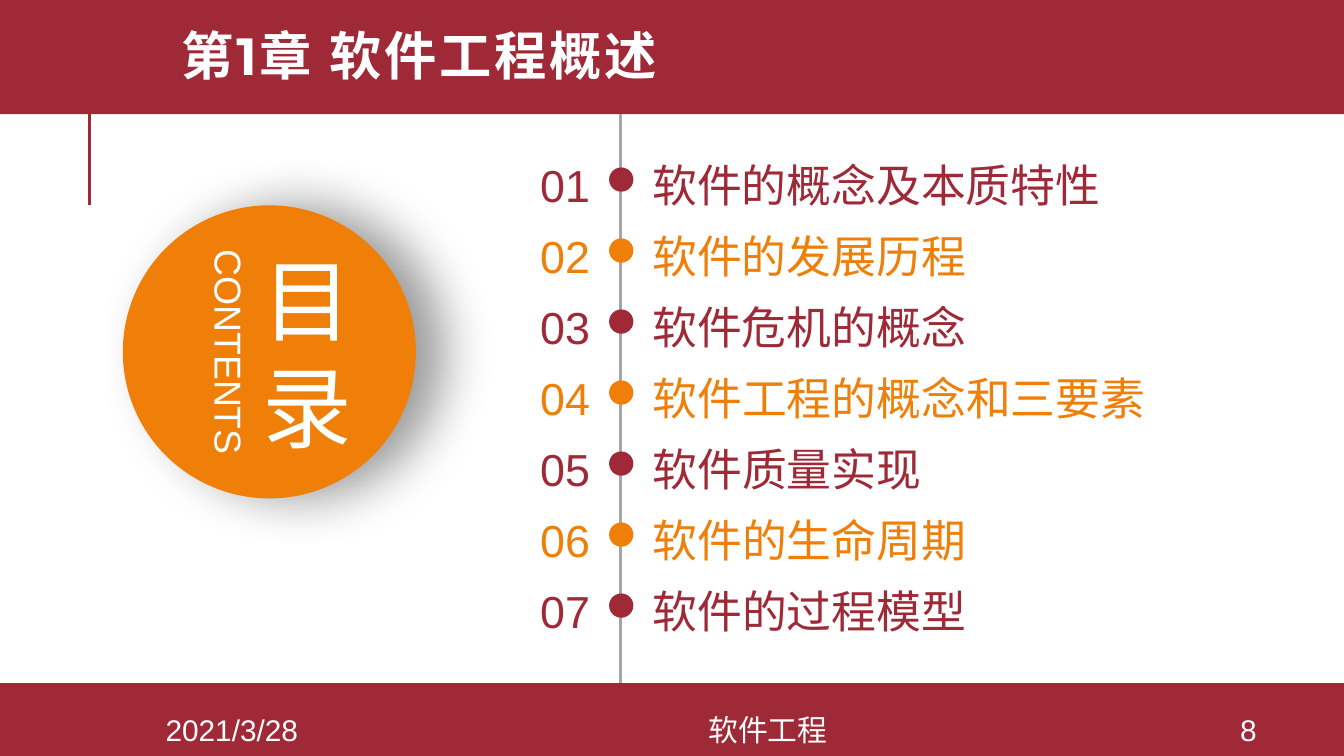
import dataclasses

import lxml.etree
import pptx
import pptx.dml.color
import pptx.enum.shapes
import pptx.enum.text
import pptx.oxml.ns
import pptx.util

Pt = pptx.util.Pt
Align = pptx.enum.text.PP_ALIGN
Anchor = pptx.enum.text.MSO_ANCHOR
Fit = pptx.enum.text.MSO_AUTO_SIZE
Kind = pptx.enum.shapes.MSO_SHAPE
qn = pptx.oxml.ns.qn

RED, ORANGE, GRAY, WHITE = "9F2936", "F07F09", "A6A6A6", "FFFFFF"
TOP, STEP, DOT = 84.3, 38.04, 13


@dataclasses.dataclass
class Box:
    x: float
    y: float
    w: float
    h: float

    def sizes(self) -> list:
        return [Pt(v) for v in (self.x, self.y, self.w, self.h)]


@dataclasses.dataclass
class Style:
    size: float
    color: str = WHITE
    align: Align = Align.CENTER
    anchor: Anchor = Anchor.MIDDLE
    inset: bool = True
    grow: bool = False
    face: str = "Arial"
    bold: bool = False
    track: float = 0
    lead: float = 1.0


@dataclasses.dataclass
class Item:
    text: str
    color: str
    width: float


def paint(target, color: str) -> None:
    target.rgb = pptx.dml.color.RGBColor.from_string(color)


def write(shape, lines: list, style: Style) -> None:
    frame = shape.text_frame
    form = {
        "word_wrap": True,
        "vertical_anchor": style.anchor,
        "auto_size": Fit.SHAPE_TO_FIT_TEXT if style.grow else Fit.NONE,
    }
    if not style.inset:
        sides = ("left", "top", "right", "bottom")
        form.update({f"margin_{side}": 0 for side in sides})
    for key, value in form.items():
        setattr(frame, key, value)
    for i, line in enumerate(lines):
        para = frame.paragraphs[0] if i == 0 else frame.add_paragraph()
        for key, value in {"alignment": style.align, "line_spacing": style.lead,
                           "space_before": Pt(0)}.items():
            setattr(para, key, value)
        run = para.add_run()
        run.text = line
        for key, value in {"size": Pt(style.size), "name": style.face,
                           "bold": style.bold}.items():
            setattr(run.font, key, value)
        paint(run.font.color, style.color)
        if style.track:
            run.font._element.set("spc", str(int(style.track * 100)))


def label(slide, box: Box, lines: list, style: Style, turn: float = 0) -> None:
    shape = slide.shapes.add_textbox(*box.sizes())
    shape.rotation = turn
    write(shape, lines, style)


def solid(slide, kind: Kind, box: Box, color: str):
    shape = slide.shapes.add_shape(kind, *box.sizes())
    shape.shadow.inherit = False
    shape.fill.solid()
    paint(shape.fill.fore_color, color)
    shape.line.fill.background()
    return shape


def rule(slide, x: float, start: float, end: float, color: str) -> None:
    line = slide.shapes.add_connector(
        pptx.enum.shapes.MSO_CONNECTOR.STRAIGHT, Pt(x), Pt(start), Pt(x), Pt(end))
    paint(line.line.color, color)
    line.line.width = Pt(1.5)
    lxml.etree.SubElement(line._element.spPr, qn("a:effectLst"))


def shade(shape, blur: float, dist: float, alpha: int) -> None:
    effects = shape._element.spPr.find(qn("a:effectLst"))
    outer = lxml.etree.SubElement(
        effects, qn("a:outerShdw"), blurRad=str(Pt(blur)), dist=str(Pt(dist)),
        dir="0", algn="ctr", rotWithShape="0")
    tint = lxml.etree.SubElement(outer, qn("a:srgbClr"), val="000000")
    lxml.etree.SubElement(tint, qn("a:alpha"), val=str(alpha * 1000))


def entry(slide, index: int, item: Item) -> None:
    y = TOP + index * STEP
    solid(slide, Kind.OVAL, Box(326.3, y + 5.4, DOT, DOT), item.color)
    style = Style(24, item.color, Align.RIGHT, Anchor.TOP, inset=False, grow=True)
    label(slide, Box(273.6, y, 42.5, 29), [f"{index + 1:02d}"], style)
    style = dataclasses.replace(style, align=Align.LEFT)
    label(slide, Box(349.5, y, item.width, 29), [item.text], style)


def main() -> None:
    deck = pptx.Presentation()
    deck.slide_width, deck.slide_height = Pt(720), Pt(405)
    slide = deck.slides.add_slide(deck.slide_layouts[5])

    # Bands and rules
    solid(slide, Kind.RECTANGLE, Box(0, -2, 720, 63.2), RED)
    solid(slide, Kind.RECTANGLE, Box(0, 366, 720, 39), RED)
    rule(slide, 47.8, 56, 110, RED)
    rule(slide, 332.5, 61.2, 366, GRAY)

    # Contents disc
    disc = solid(slide, Kind.OVAL, Box(65.8, 110, 157, 157), ORANGE)
    shade(disc, 28, 15, 40)
    label(slide, Box(113.8, 116, 101.5, 145.4), ["目", "录"],
          Style(48, inset=False, track=6))
    label(slide, Box(46.8, 172.8, 152, 31.5), ["CONTENTS"],
          Style(20, anchor=Anchor.TOP, grow=True), turn=90)

    # Footer
    for text, x, width in (("2021/3/28", 60.5, 127.4), ("软件工程", 187.9, 447),
                           ("8", 640, 57.6)):
        label(slide, Box(x, 382.3, width, 16.6), [text], Style(16))

    # Chapter title, above the band
    title = slide.shapes.title
    title.left, title.top, title.width, title.height = Box(90, 6.5, 594.7, 51.8).sizes()
    write(title, ["第1章 软件工程概述"],
          Style(28, align=Align.LEFT, face="Montserrat", bold=True, track=1.5, lead=0.8))
    tree = title._element.getparent()
    tree.append(title._element)

    # Chapter sections
    names = ("软件的概念及本质特性", "软件的发展历程", "软件危机的概念",
             "软件工程的概念和三要素", "软件质量实现", "软件的生命周期",
             "软件的过程模型")
    for i, name in enumerate(names):
        color = ORANGE if i % 2 else RED
        entry(slide, i, Item(name, color, 242.6 if i < 3 else 288.7))

    deck.save("out.pptx")


if __name__ == "__main__":
    main()
